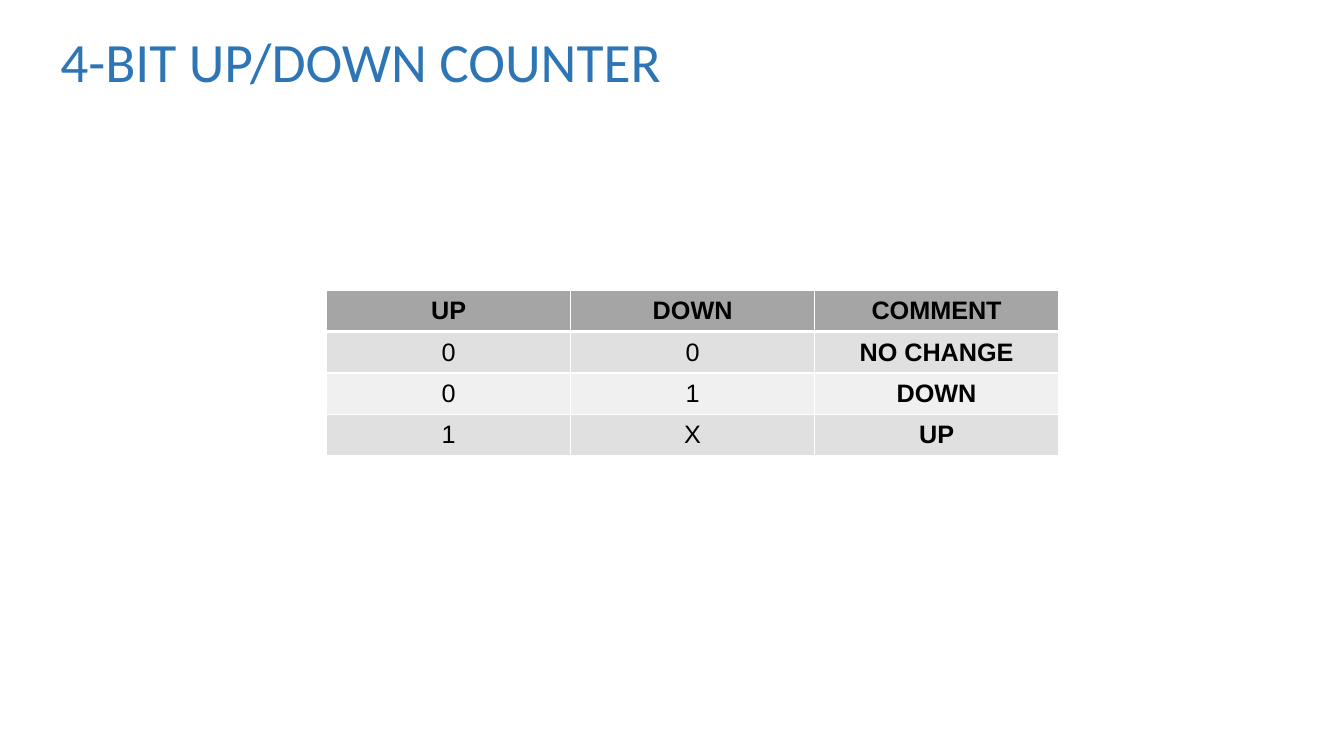
"""Build a slide with the control table of a 4-bit up/down counter."""
from lxml.etree import SubElement
from pptx import Presentation
from pptx.dml.color import RGBColor
from pptx.enum.text import MSO_ANCHOR as Anchor, PP_ALIGN as Align
from pptx.oxml.ns import qn
from pptx.util import Inches, Pt

BLUE = RGBColor(0x2E, 0x75, 0xB5)
BLACK = RGBColor(0, 0, 0)
WHITE = RGBColor(0xFF, 0xFF, 0xFF)
HEADER_GRAY = RGBColor(0xA5, 0xA5, 0xA5)
BAND_GRAYS = [RGBColor(0xF0, 0xF0, 0xF0), RGBColor(0xE0, 0xE0, 0xE0)]

ROWS = [
    ("UP", "DOWN", "COMMENT"),
    ("0", "0", "NO CHANGE"),
    ("0", "1", "DOWN"),
    ("1", "X", "UP"),
]
COLUMN_WIDTH = 2.42
ROW_HEIGHT = 0.41


def add_border(cell, side, points):
    """Draw a white line along one side of a cell."""
    properties = cell._tc.get_or_add_tcPr()
    line = SubElement(properties, qn(f"a:ln{side}"), w=str(Pt(points)))
    fill = SubElement(line, qn("a:solidFill"))
    SubElement(fill, qn("a:srgbClr"), val=str(WHITE))


deck = Presentation()
deck.slide_width = Inches(13.33)
deck.slide_height = Inches(7.5)
slide = deck.slides.add_slide(deck.slide_layouts[6])

title_box = slide.shapes.add_textbox(Inches(0.5), Inches(0.29), Inches(7.61), Inches(1.2))
title_frame = title_box.text_frame
title_frame.word_wrap = True
title_frame.vertical_anchor = Anchor.TOP
title = title_frame.paragraphs[0]
title.text = "4-BIT UP/DOWN COUNTER"
title.line_spacing = 0.9
title.font.name = "Calibri"
title.font.size = Pt(39.6)
title.font.color.rgb = BLUE

table = slide.shapes.add_table(
    len(ROWS), len(ROWS[0]), Inches(3.24), Inches(2.88),
    Inches(COLUMN_WIDTH * len(ROWS[0])), Inches(ROW_HEIGHT * len(ROWS)),
).table
for column in table.columns:
    column.width = Inches(COLUMN_WIDTH)

for row_index, labels in enumerate(ROWS):
    table.rows[row_index].height = Inches(ROW_HEIGHT)
    is_header = row_index == 0
    for column_index, label in enumerate(labels):
        cell = table.cell(row_index, column_index)
        cell.vertical_anchor = Anchor.MIDDLE
        add_border(cell, "L", 1)
        add_border(cell, "R", 1)
        add_border(cell, "T", 3 if row_index == 1 else 1)
        add_border(cell, "B", 3 if is_header else 1)
        cell.fill.solid()
        cell.fill.fore_color.rgb = HEADER_GRAY if is_header else BAND_GRAYS[row_index % 2]
        para = cell.text_frame.paragraphs[0]
        para.text = label
        para.alignment = Align.CENTER
        para.font.name = "Arial"
        para.font.size = Pt(18)
        para.font.bold = is_header or column_index == 2
        para.font.color.rgb = BLACK

deck.save("out.pptx")
